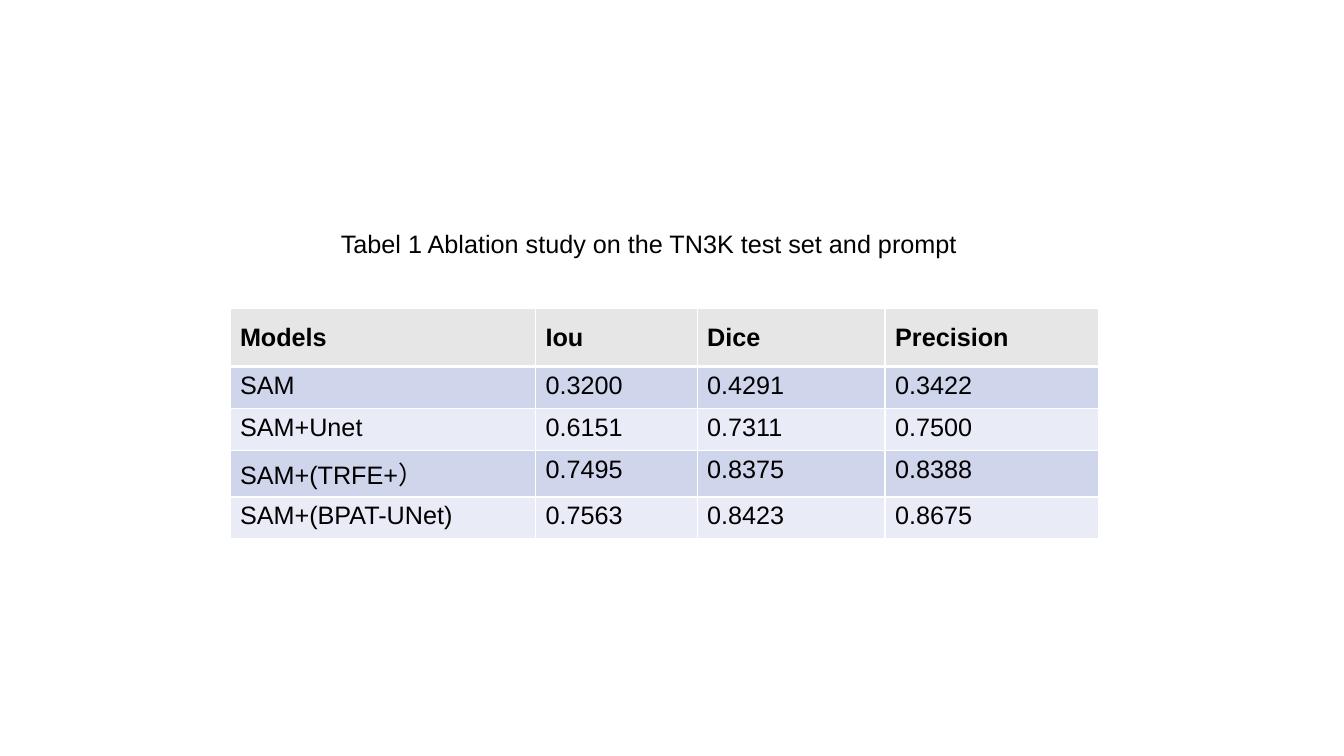
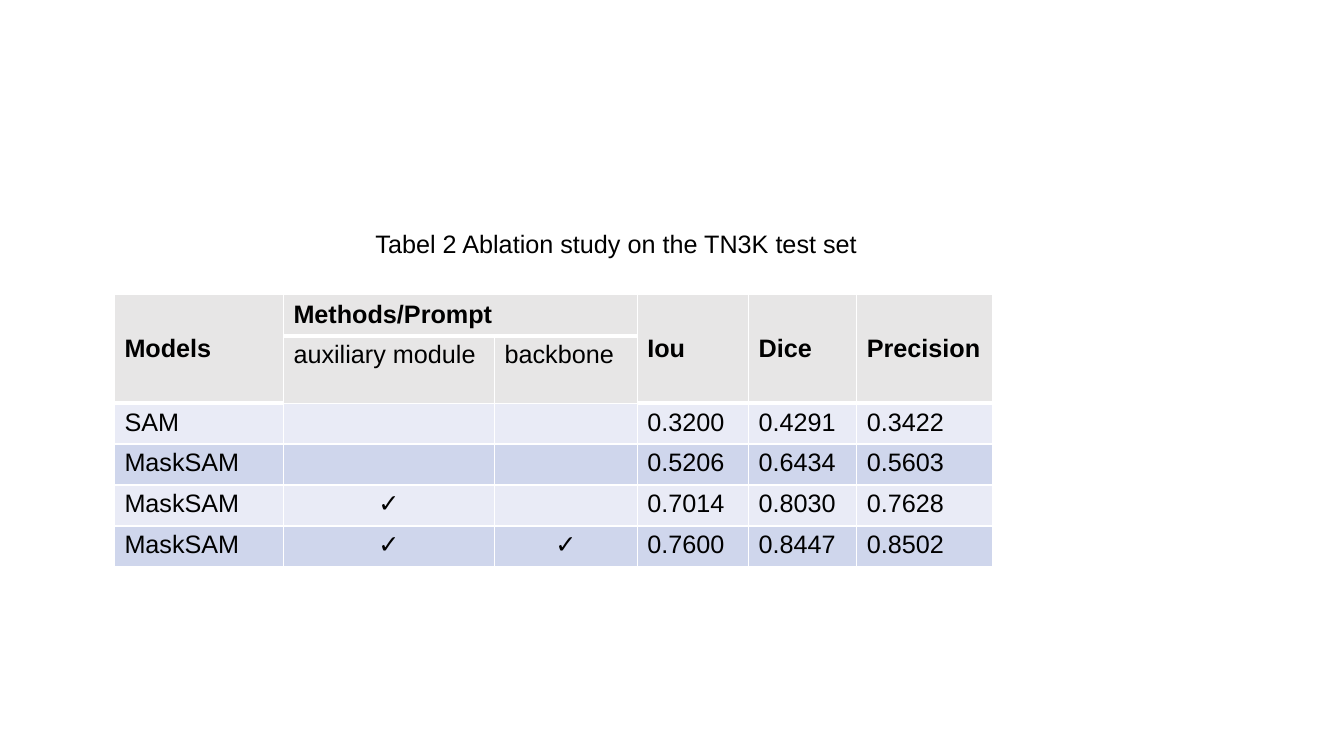
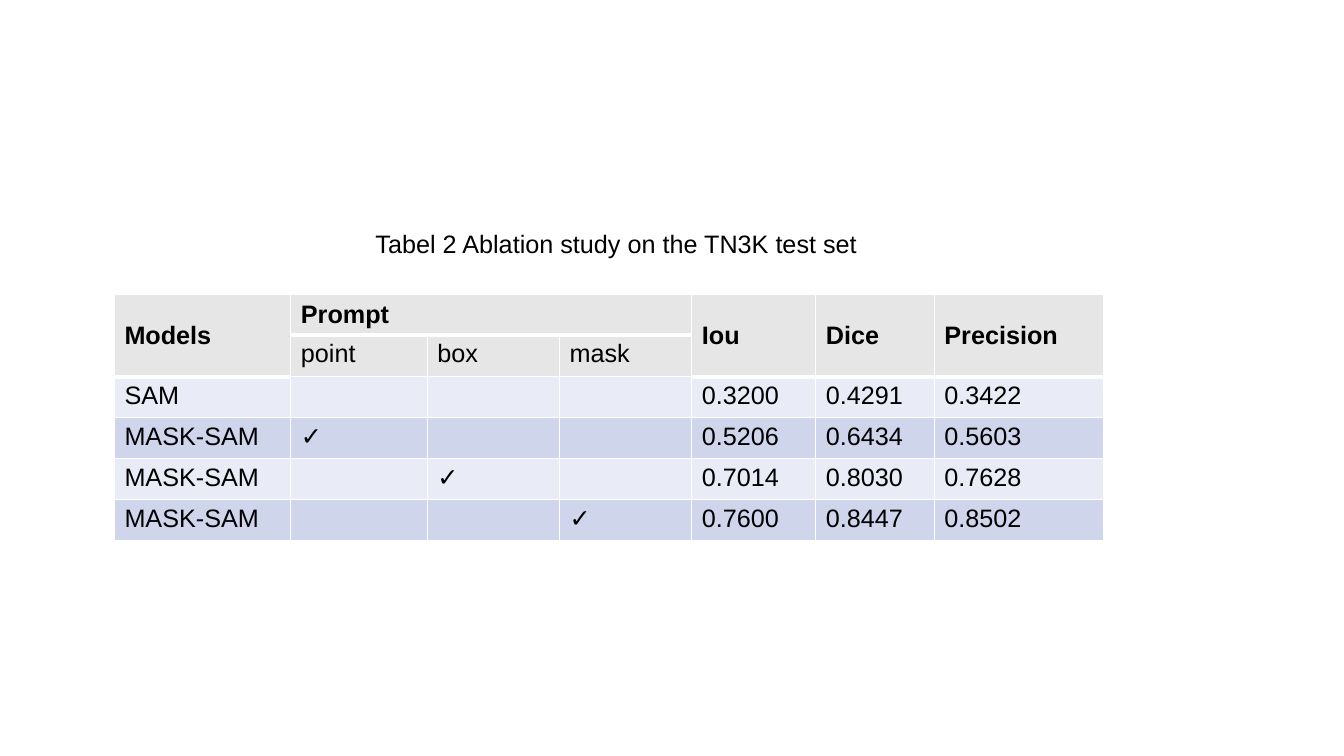
"""Build three slides of captioned ablation study tables."""
from dataclasses import dataclass

from lxml.etree import SubElement
from pptx import Presentation
from pptx.dml.color import RGBColor
from pptx.enum.text import MSO_ANCHOR, MSO_AUTO_SIZE, PP_ALIGN
from pptx.oxml.ns import qn
from pptx.util import Pt


@dataclass(frozen=True)
class Theme:
    font: str = "Arial"
    size: int = 18
    text: str = "000000"
    header: str = "E7E6E6"
    bands: tuple = ("E9EBF6", "CFD6EC")
    grid: str = "FFFFFF"
    thin: int = 1
    thick: int = 3


THEME = Theme()
PX = 9525
TICK = "✓"


def format_paragraph(paragraph, alignment, bold=False):
    paragraph.alignment = alignment
    for run in paragraph.runs:
        run.font.name = THEME.font
        run.font.size = Pt(THEME.size)
        run.font.bold = bold
        run.font.color.rgb = RGBColor.from_string(THEME.text)


def draw_borders(cell, bottom_width):
    properties = cell._tc.get_or_add_tcPr()
    widths = {"a:lnL": THEME.thin, "a:lnR": THEME.thin, "a:lnT": THEME.thin, "a:lnB": bottom_width}
    for side, width in widths.items():
        border = SubElement(properties, qn(side), w=str(Pt(width)))
        SubElement(SubElement(border, qn("a:solidFill")), qn("a:srgbClr"), val=THEME.grid)


studies = [
    {
        "caption": "Tabel 1 Ablation study on the TN3K test set and prompt",
        "caption_box": (315, 213, 622, 38),
        "origin": (219, 294),
        "columns": [291, 154, 179, 203],
        "rows": [55, 40, 40, 44, 40],
        "header_rows": 1,
        "tick_alignment": PP_ALIGN.LEFT,
        "cells": [
            ["Models", "Iou", "Dice", "Precision"],
            ["SAM", "0.3200", "0.4291", "0.3422"],
            ["SAM+Unet", "0.6151", "0.7311", "0.7500"],
            ["SAM+(TRFE+）", "0.7495", "0.8375", "0.8388"],
            ["SAM+(BPAT-UNet)", "0.7563", "0.8423", "0.8675"],
        ],
    },
    {
        "caption": "Tabel 2 Ablation study on the TN3K test set",
        "caption_box": (348, 213, 527, 38),
        "origin": (109, 280),
        "columns": [161, 201, 136, 106, 103, 129],
        "rows": [40, 64] + [39] * 4,
        "header_rows": 2,
        "tick_alignment": PP_ALIGN.CENTER,
        "cells": [
            ["Models", "Methods/Prompt", "", "Iou", "Dice", "Precision"],
            ["", "auxiliary module", "backbone", "", "", ""],
            ["SAM", "", "", "0.3200", "0.4291", "0.3422"],
            ["MaskSAM", "", "", "0.5206", "0.6434", "0.5603"],
            ["MaskSAM", TICK, "", "0.7014", "0.8030", "0.7628"],
            ["MaskSAM", TICK, TICK, "0.7600", "0.8447", "0.8502"],
        ],
    },
    {
        "caption": "Tabel 2 Ablation study on the TN3K test set",
        "caption_box": (348, 213, 527, 38),
        "origin": (109, 280),
        "columns": [168, 130, 126, 126, 118, 113, 161],
        "rows": [39, 40] + [39] * 4,
        "header_rows": 2,
        "tick_alignment": PP_ALIGN.LEFT,
        "cells": [
            ["Models", "Prompt", "", "", "Iou", "Dice", "Precision"],
            ["", "point", "box", "mask", "", "", ""],
            ["SAM", "", "", "", "0.3200", "0.4291", "0.3422"],
            ["MASK-SAM", TICK, "", "", "0.5206", "0.6434", "0.5603"],
            ["MASK-SAM", "", TICK, "", "0.7014", "0.8030", "0.7628"],
            ["MASK-SAM", "", "", TICK, "0.7600", "0.8447", "0.8502"],
        ],
    },
]

deck = Presentation()
deck.slide_width, deck.slide_height = 1280 * PX, 720 * PX
title_only = deck.slide_layouts[5]

for study in studies:
    slide = deck.slides.add_slide(title_only)

    caption = slide.shapes.title
    caption.left, caption.top, caption.width, caption.height = (n * PX for n in study["caption_box"])
    caption.text_frame.text = study["caption"]
    caption.text_frame.vertical_anchor = MSO_ANCHOR.TOP
    caption.text_frame.auto_size = MSO_AUTO_SIZE.NONE
    format_paragraph(caption.text_frame.paragraphs[0], PP_ALIGN.LEFT)

    left, top = study["origin"]
    columns, rows = study["columns"], study["rows"]
    results = slide.shapes.add_table(
        len(rows), len(columns), left * PX, top * PX, sum(columns) * PX, sum(rows) * PX
    ).table
    results.first_row = results.horz_banding = False
    for column, width in zip(results.columns, columns):
        column.width = width * PX
    for row, height in zip(results.rows, rows):
        row.height = height * PX

    for r, values in enumerate(study["cells"]):
        in_header = r < study["header_rows"]
        for c, value in enumerate(values):
            is_heading = r == 0 or (in_header and not value)
            cell = results.cell(r, c)
            draw_borders(cell, THEME.thick if is_heading else THEME.thin)
            cell.fill.solid()
            fill = THEME.header if in_header else THEME.bands[r % 2]
            cell.fill.fore_color.rgb = RGBColor.from_string(fill)
            cell.vertical_anchor = MSO_ANCHOR.MIDDLE if is_heading else MSO_ANCHOR.TOP
            cell.text_frame.text = value
            alignment = study["tick_alignment"] if value == TICK else PP_ALIGN.LEFT
            format_paragraph(cell.text_frame.paragraphs[0], alignment, is_heading)

    if study["header_rows"] == 2:
        group_end = 1 + study["cells"][0].count("")
        results.cell(0, 1).merge(results.cell(0, group_end))
        for c, label in enumerate(study["cells"][1]):
            if not label:
                results.cell(0, c).merge(results.cell(1, c))

deck.save("out.pptx")
